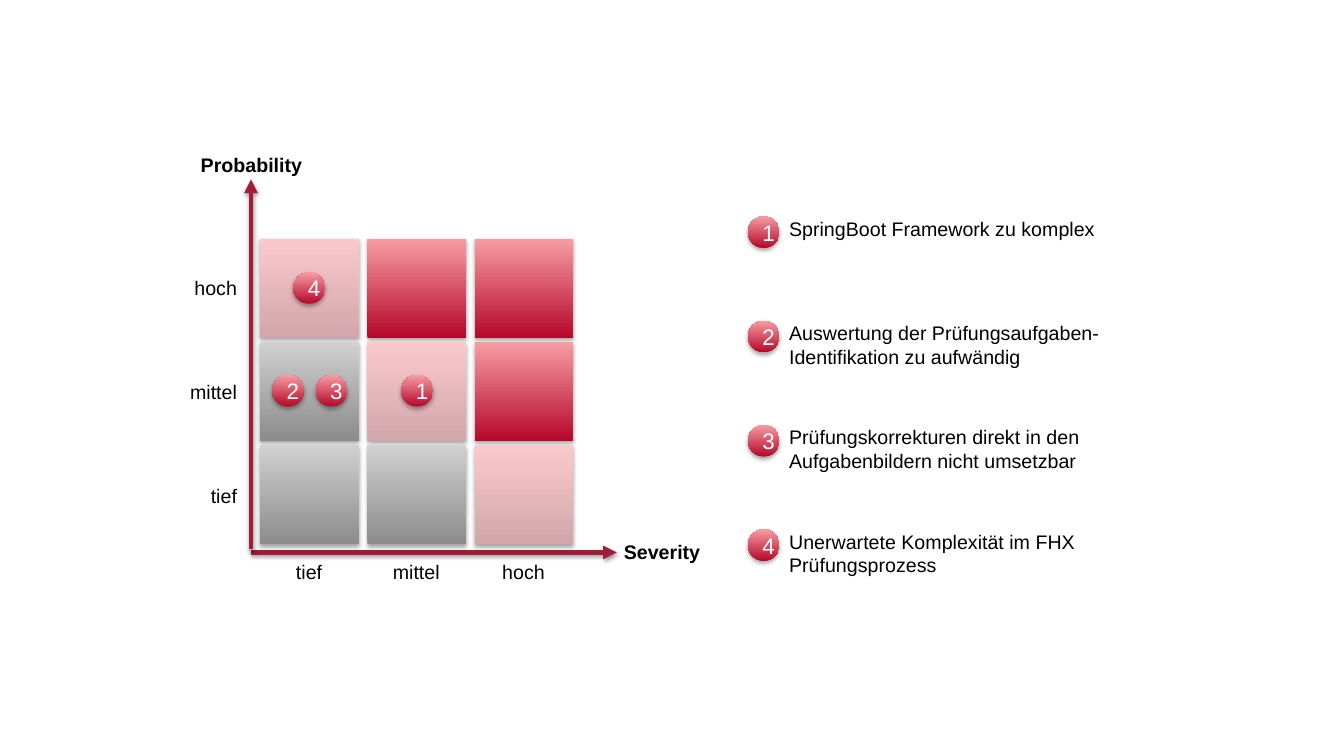
"""Build a risk matrix slide with a numbered legend."""
from dataclasses import dataclass

from pptx import Presentation, oxml
from pptx import slide as sl
from pptx import util as u
from pptx.dml import color
from pptx.enum import shapes, text
from pptx.oxml import ns
from pptx.shapes import base

BLACK = color.RGBColor(0x00, 0x00, 0x00)
WHITE = color.RGBColor(0xFF, 0xFF, 0xFF)
AXIS = color.RGBColor(0xA1, 0x1C, 0x36)
GRAY = (color.RGBColor(0x8C, 0x8C, 0x8C), color.RGBColor(0xD0, 0xD0, 0xD0))
PINK = (color.RGBColor(0xD2, 0xA6, 0xAA), color.RGBColor(0xF9, 0xC9, 0xCD))
RED = (color.RGBColor(0xB5, 0x08, 0x2A), color.RGBColor(0xF7, 0x9D, 0xA3))
FONT = "Arial"
LEFT, CENTER, RIGHT = text.PP_ALIGN.LEFT, text.PP_ALIGN.CENTER, text.PP_ALIGN.RIGHT
RECT, OVAL = shapes.MSO_SHAPE.RECTANGLE, shapes.MSO_SHAPE.OVAL

CELL, BALL = 70.6, 22.6
COL_X, COL_STEP = 185.8, 76.6
ROW_Y, ROW_STEP = 170.6, 73.8
KEY_STEP = 74.5
LEVELS = ("tief", "mittel", "hoch")
GRID = ((PINK, RED, RED), (GRAY, PINK, RED), (GRAY, GRAY, PINK))
RISKS = (
    "SpringBoot Framework zu komplex",
    "Auswertung der Prüfungsaufgaben-Identifikation zu aufwändig",
    "Prüfungskorrekturen direkt in den Aufgabenbildern nicht umsetzbar",
    "Unerwartete Komplexität im FHX Prüfungsprozess",
)


@dataclass
class Label:
    words: str
    x: float
    y: float
    width: float
    align: text.PP_ALIGN = LEFT
    bold: bool = False
    height: float = 24.2


@dataclass
class Ball:
    num: int
    x: float
    y: float


@dataclass
class Arrow:
    x1: float
    y1: float
    x2: float
    y2: float


def shade(shape: base.BaseShape, dist: float, alpha: int) -> None:
    """Give a shape a soft shadow that falls downward."""
    shape._element.spPr.append(oxml.parse_xml(
        f'<a:effectLst {ns.nsdecls("a")}><a:outerShdw blurRad="{u.Pt(3.1)}" '
        f'dist="{u.Pt(dist)}" dir="5400000" rotWithShape="0"><a:srgbClr val="000000">'
        f'<a:alpha val="{alpha * 1000}"/></a:srgbClr></a:outerShdw></a:effectLst>'))


def draw_arrow(slide: sl.Slide, arrow: Arrow) -> None:
    """Draw one axis with an arrowhead."""
    line = slide.shapes.add_connector(
        shapes.MSO_CONNECTOR.STRAIGHT, u.Pt(arrow.x1), u.Pt(arrow.y1),
        u.Pt(arrow.x2), u.Pt(arrow.y2))
    line.line.color.rgb = AXIS
    line.line.width = u.Pt(3.25)
    stroke = line._element.spPr.find(ns.qn("a:ln"))
    stroke.append(oxml.parse_xml(f'<a:tailEnd {ns.nsdecls("a")} type="triangle"/>'))
    shade(line, 1.6, 38)


def draw_shape(slide: sl.Slide, kind: shapes.MSO_SHAPE, x: float, y: float,
               size: float, tones: tuple) -> base.BaseShape:
    """Draw a square or circle whose tones run from bottom to top."""
    shape = slide.shapes.add_shape(kind, u.Pt(x), u.Pt(y), u.Pt(size), u.Pt(size))
    shape.fill.gradient()
    shape.fill.gradient_angle = 90
    for stop, tone in zip(shape.fill.gradient_stops, tones):
        stop.color.rgb = tone
    shape.line.fill.background()
    shade(shape, 1.8, 35)
    return shape


def style(par, size: float, tone: color.RGBColor, align: text.PP_ALIGN,
          bold: bool = False) -> None:
    """Set the font and alignment of a paragraph."""
    par.alignment = align
    par.font.name = FONT
    par.font.size = u.Pt(size)
    par.font.bold = bold
    par.font.color.rgb = tone


def draw_ball(slide: sl.Slide, ball: Ball) -> None:
    """Draw one numbered marker."""
    frame = draw_shape(slide, OVAL, ball.x, ball.y, BALL, RED).text_frame
    frame.text = str(ball.num)
    frame.vertical_anchor = text.MSO_ANCHOR.MIDDLE
    style(frame.paragraphs[0], 16, WHITE, CENTER)


def draw_label(slide: sl.Slide, label: Label) -> None:
    """Draw one text label."""
    box = slide.shapes.add_textbox(
        u.Pt(label.x), u.Pt(label.y), u.Pt(label.width), u.Pt(label.height))
    frame = box.text_frame
    frame.word_wrap = True
    frame.auto_size = text.MSO_AUTO_SIZE.SHAPE_TO_FIT_TEXT
    frame.text = label.words
    style(frame.paragraphs[0], 14, BLACK, label.align, label.bold)


def main() -> None:
    """Draw the slide and save it."""
    deck = Presentation()
    deck.slide_width, deck.slide_height = u.Pt(960), u.Pt(540)
    slide = deck.slides.add_slide(deck.slide_layouts[6])

    for arrow in (Arrow(179.3, 394.6, 440.6, 394.6), Arrow(179.3, 392.4, 179.3, 128.2)):
        draw_arrow(slide, arrow)
    for row, line in enumerate(GRID):
        for col, tones in enumerate(line):
            draw_shape(slide, RECT, COL_X + col * COL_STEP,
                       ROW_Y + row * ROW_STEP, CELL, tones)

    labels = [Label("Probability", 114.5, 105.8, 130.3, CENTER, True),
              Label("Severity", 438.5, 382.3, 130.3, LEFT, True)]
    for i, level in enumerate(LEVELS):
        labels.append(Label(level, 128.2, 341.8 - i * 74.2, 48.2, RIGHT))
        labels.append(Label(level, 196.7 + i * COL_STEP, 396.7, 48.2, CENTER))

    balls = [Ball(2, 194.4, 267.8), Ball(1, 286.6, 267.8),
             Ball(4, 209.5, 194.4), Ball(3, 225.4, 267.8)]
    for i, risk in enumerate(RISKS):
        balls.append(Ball(i + 1, 534.2, 154.6 + i * KEY_STEP))
        labels.append(Label(risk, 556.6, 151.2 + i * KEY_STEP, 249.1,
                            height=41 if i else 24.2))

    for ball in balls:
        draw_ball(slide, ball)
    for label in labels:
        draw_label(slide, label)
    deck.save("out.pptx")


if __name__ == "__main__":
    main()
